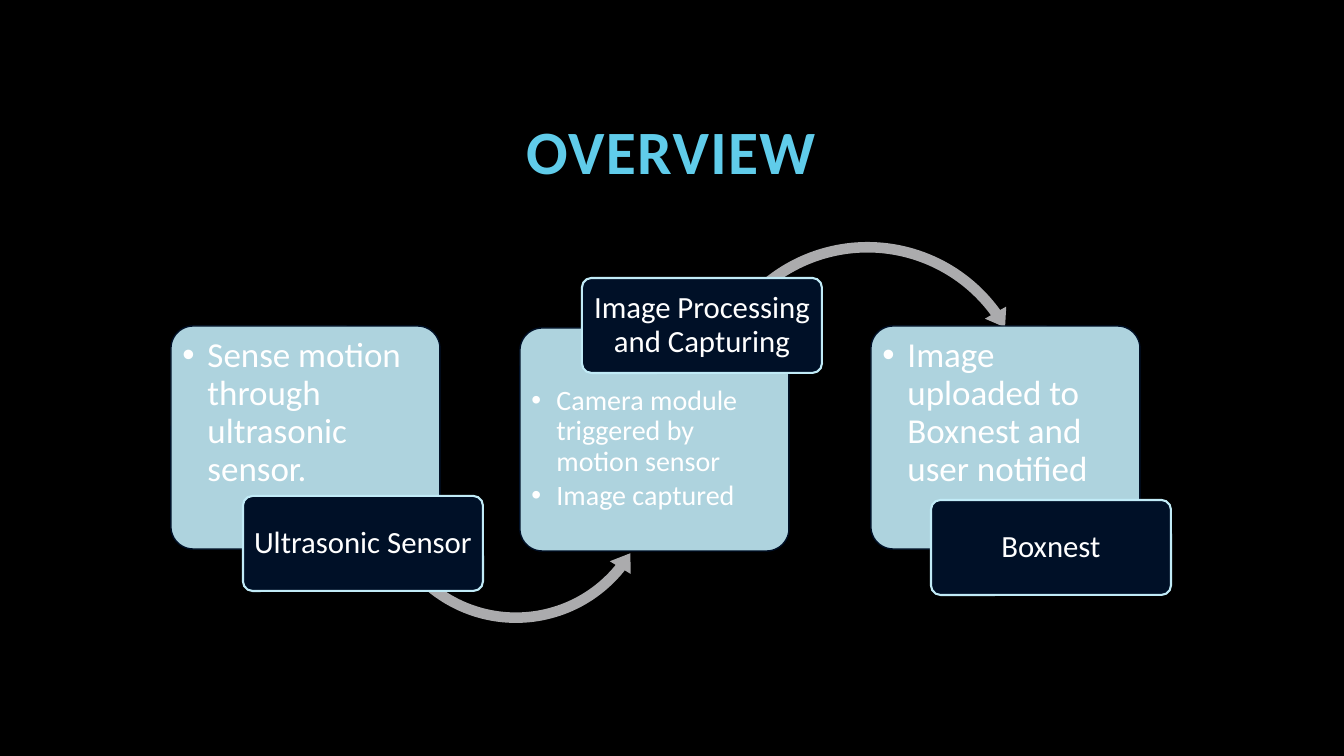
from pptx import Presentation, util as u
from pptx.dml.color import RGBColor
from pptx.enum import shapes, text
from pptx.oxml.ns import qn
from lxml import etree

# Content: lengths in px, sizes in points
COLORS = {"back": "000000", "title": "60CCEA", "pale": "C1EBF7",
          "navy": "001027", "arrow": "ABABAD", "white": "FFFFFF"}
TITLE = "OVERVIEW"
TITLE_BOX = (167, 42, 1008, 151)
CARD_SIZE = (269, 223)
LABEL_SIZE = (240, 95)
MARGIN = 5  # inner margin of cards and labels
STEPS = [
    {"bullets": ["Sense motion through ultrasonic sensor."], "size": 25,
     "card": (171, 326), "text_top": MARGIN,
     "label": "Ultrasonic Sensor", "label_at": (243, 496),
     "arrow": ("LEFT_CIRCULAR_ARROW", (370, 338, 292, 292),
               (0.036, 4.508, 23.238, 91.22, 0.042))},
    {"bullets": ["Camera module triggered by motion sensor", "Image captured"],
     "size": 20, "card": (520, 328), "text_top": MARGIN + 47,
     "label": "Image Processing and Capturing", "label_at": (582, 278),
     "arrow": ("CIRCULAR_ARROW", (697, 235, 341, 341),
               (0.031, 3.813, 194.431, 125.755, 0.036))},
    {"bullets": ["Image uploaded to Boxnest and user notified"], "size": 25,
     "card": (871, 326), "text_top": MARGIN,
     "label": "Boxnest", "label_at": (931, 500), "arrow": None},
]


def px(n):
    return u.Emu(round(n * 914400 / 100.8))


def rgb(name):
    return RGBColor.from_string(COLORS[name])


def add_shape(kind, box, adjustments, fill, line=None, width=1):
    sp = s.shapes.add_shape(getattr(shapes.MSO_SHAPE, kind), *map(px, box))
    sp.shadow.inherit = False
    for i, value in enumerate(adjustments):
        sp.adjustments[i] = value
    sp.fill.solid()
    sp.fill.fore_color.rgb = rgb(fill)
    if line:
        sp.line.color.rgb = rgb(line)
        sp.line.width = u.Pt(width)
    else:
        sp.line.fill.background()
    return sp


def set_text(sp, lines, size, align, anchor, margins, color="white", bold=False, bullet=False):
    tf = sp.text_frame
    frame = dict(zip(("margin_left", "margin_top", "margin_right", "margin_bottom"),
                     map(px, margins)))
    for name, value in {**frame, "word_wrap": True, "vertical_anchor": anchor}.items():
        setattr(tf, name, value)
    for i, line in enumerate(lines):
        p = tf.add_paragraph() if i else tf.paragraphs[0]
        p.alignment, p.line_spacing = align, 0.9
        if bullet:
            p.space_after = u.Pt(size * 0.15)
            pPr = p._p.get_or_add_pPr()
            pPr.set("marL", str(px(25)))
            pPr.set("indent", str(-px(25)))
            etree.SubElement(pPr, qn("a:buFont")).set("typeface", "Arial")
            etree.SubElement(pPr, qn("a:buChar")).set("char", "•")
        r = p.add_run()
        r.text = line
        for name, value in {"name": "Calibri", "size": u.Pt(size), "bold": bold}.items():
            setattr(r.font, name, value)
        r.font.color.rgb = rgb(color)
    return tf


prs = Presentation()
prs.slide_width, prs.slide_height = px(1344), px(756)
s = prs.slides.add_slide(prs.slide_layouts[6])
s.background.fill.solid()
s.background.fill.fore_color.rgb = rgb("back")

# Title
tf = set_text(s.shapes.add_textbox(*map(px, TITLE_BOX)), [TITLE], 44,
              text.PP_ALIGN.CENTER, text.MSO_ANCHOR.BOTTOM, (10, 5, 10, 5),
              color="title", bold=True)
tf.paragraphs[0].runs[0].font._element.set("spc", "100")

# Steps: card, arrow to the next card, label on top
for step in STEPS:
    card = add_shape("ROUNDED_RECTANGLE", step["card"] + CARD_SIZE, [0.1], "pale", "navy")
    fill_color = card._element.spPr.find(qn("a:solidFill"))[0]
    etree.SubElement(fill_color, qn("a:alpha")).set("val", "90000")
    set_text(card, step["bullets"], step["size"], text.PP_ALIGN.LEFT, text.MSO_ANCHOR.TOP,
             (MARGIN, step["text_top"], MARGIN, MARGIN), bullet=True)
    if step["arrow"]:
        kind, box, adjustments = step["arrow"]
        add_shape(kind, box, adjustments, "arrow")
    label = add_shape("ROUNDED_RECTANGLE", step["label_at"] + LABEL_SIZE, [0.1],
                      "navy", "pale", 1.5)
    set_text(label, [step["label"]], 22, text.PP_ALIGN.CENTER, text.MSO_ANCHOR.MIDDLE,
             (MARGIN, 3, MARGIN, 3))

prs.save("out.pptx")
